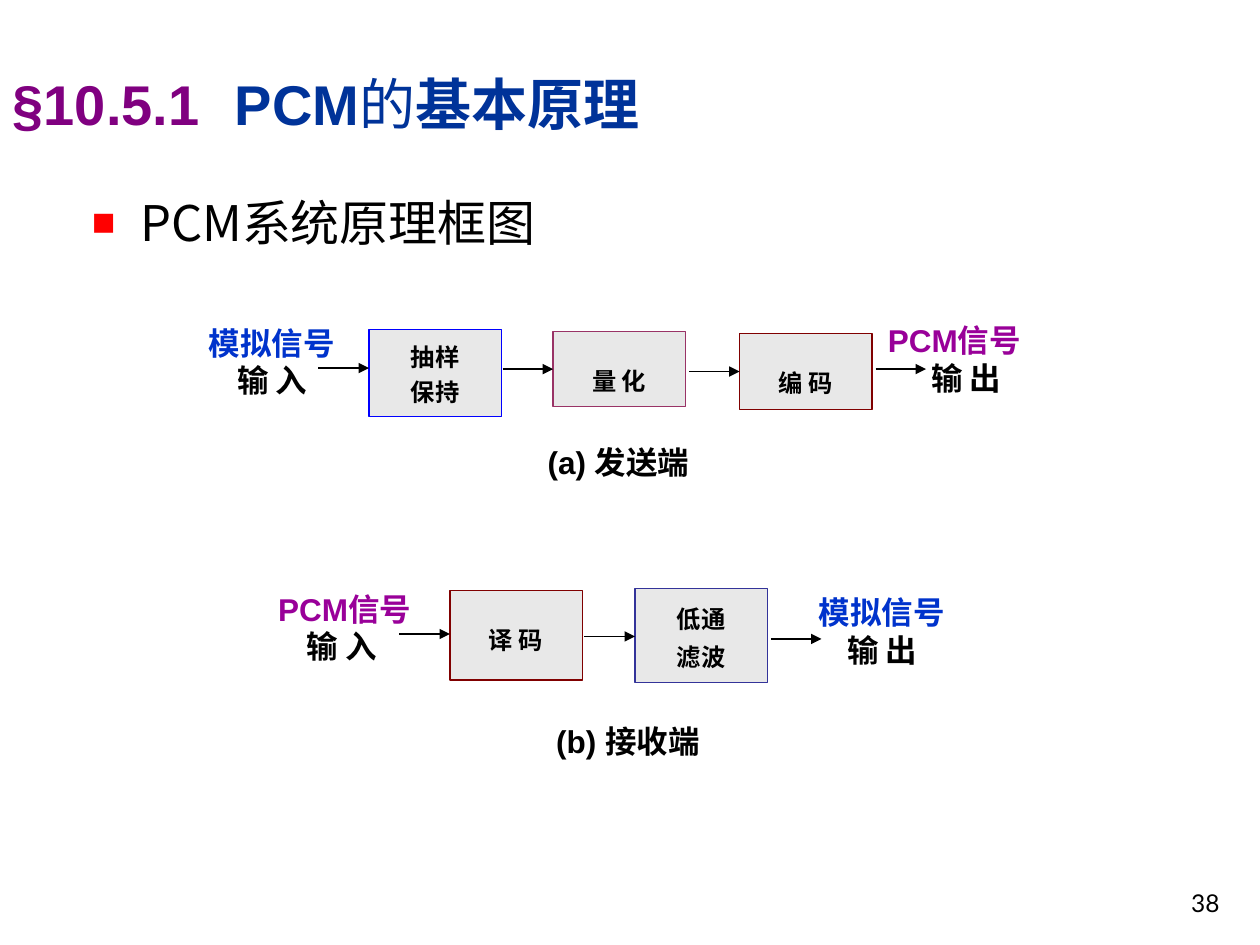
from lxml import etree
from pptx import Presentation
from pptx.dml.color import RGBColor
from pptx.enum.shapes import MSO_CONNECTOR, MSO_SHAPE
from pptx.enum.text import MSO_ANCHOR, MSO_AUTO_SIZE, PP_ALIGN
from pptx.oxml.ns import qn
from pptx.util import Cm, Pt

LEFT, CENTER, RIGHT, JUSTIFY = PP_ALIGN.LEFT, PP_ALIGN.CENTER, PP_ALIGN.RIGHT, PP_ALIGN.JUSTIFY
TOP, BOTTOM = MSO_ANCHOR.TOP, MSO_ANCHOR.BOTTOM
NO_AUTOFIT = MSO_AUTO_SIZE.NONE
RECTANGLE, STRAIGHT = MSO_SHAPE.RECTANGLE, MSO_CONNECTOR.STRAIGHT

THEME = {
    "latin": "Arial", "cjk": "Noto Sans CJK SC", "number": "Lato",
    "black": "000000", "purple": "800080", "navy": "003399", "red": "FF0000",
    "analog": "0033CC", "pcm": "990099", "block": "E8E8E8",
    "title_size": 32, "gap_size": 40, "body_size": 28, "block_size": 24,
    "label_size": 18, "number_size": 14, "line": 0.75,
}

# Content: positions in cm
TITLE_RUNS = [  # text, size, font, colour, bold
    ("§10.5.1", "title_size", "latin", "purple", True),
    ("\t", "gap_size", "latin", "navy", True),
    ("PCM", "title_size", "latin", "navy", True),
    ("的", "title_size", "cjk", "navy", False),
    ("基本原理", "title_size", "cjk", "navy", True),
]
BODY = "PCM系统原理框图"
SLIDE_NUMBER = "38"
DIAGRAMS = [
    {
        "caption": ("(a) 发送端", (10.64, 8.81, 3.66, 1.04)),
        "labels": [  # lines, colour, indent of second line, position
            (("模拟信号", "输 入"), "analog", 0.57, (3.96, 6.4, 3.33, 2)),
            (("PCM信号", "输 出"), "pcm", 0.87, (17.65, 6.35, 3.56, 1.88)),
        ],
        "blocks": [  # lines, font, outline, line spacing, left, top, height
            (("抽样", "保持"), "cjk", "0000FF", Pt(20), 7.44, 6.65, 1.75),
            (("量 化",), "latin", "993366", 0.96, 11.15, 6.68, 1.52),
            (("编 码",), "latin", "800000", 0.96, 14.91, 6.73, 1.52),
        ],
        "arrow_heights": [7.42, 7.44, 7.49, 7.44],
    },
    {
        "caption": ("(b) 接收端", (10.69, 14.43, 3.94, 1.04)),
        "labels": [
            (("PCM信号", "输 入"), "pcm", 0.57, (5.36, 11.76, 3.4, 1.88)),
            (("模拟信号", "输 出"), "analog", 0.57, (16.26, 11.84, 3.35, 1.9)),
        ],
        "blocks": [
            (("译 码",), "latin", "800000", 1.0, 9.07, 11.91, 1.8),
            (("低通", "滤波"), "latin", "333399", Pt(22), 12.8, 11.86, 1.9),
        ],
        "arrow_heights": [12.78, 12.83, 12.88],
    },
]
BLOCK_WIDTH, ARROW_LENGTH, ARROW_GAP = 2.67, 1.02, 0.07


def color(name):
    return RGBColor.from_string(THEME.get(name, name))


def style(font, size, face, color_name, bold=False):
    font.size = Pt(THEME[size])
    font.name = THEME[face]
    font.bold = bold
    font.color.rgb = color(color_name)


def add_xml(parent, tag, **attributes):
    return etree.SubElement(parent, qn(tag), attributes)


def set_east_asian_font(element, tag):
    for properties in element.iter(qn(tag)):
        add_xml(properties, "a:ea", typeface=THEME["cjk"])


def place(shape, position):
    shape.left, shape.top, shape.width, shape.height = map(Cm, position)


def fill_lines(frame, lines, size, face, colors, bold, align, anchor=TOP):
    frame.word_wrap = True
    frame.auto_size = NO_AUTOFIT
    frame.vertical_anchor = anchor
    for index, (text, color_name) in enumerate(zip(lines, colors)):
        paragraph = frame.paragraphs[0] if index == 0 else frame.add_paragraph()
        paragraph.text = text
        paragraph.alignment = align
        style(paragraph.font, size, face, color_name, bold)
        set_east_asian_font(paragraph._p, "a:defRPr")
    return frame.paragraphs


def add_text(shapes, position, *text_format):
    box = shapes.add_textbox(*map(Cm, position))
    return fill_lines(box.text_frame, *text_format)


def add_block(shapes, lines, face, outline, spacing, left, top, height):
    block = shapes.add_shape(RECTANGLE, *map(Cm, (left, top, BLOCK_WIDTH, height)))
    block.shadow.inherit = False
    block.fill.solid()
    block.fill.fore_color.rgb = color("block")
    block.line.color.rgb = color(outline)
    block.line.width = Pt(THEME["line"])
    paragraphs = fill_lines(block.text_frame, lines, "block_size", face,
                            ["black"] * len(lines), True, CENTER)
    for paragraph in paragraphs:
        paragraph.line_spacing = spacing
        for properties in paragraph._p.iter(qn("a:defRPr")):
            properties.set("baseline", "-25000")


def add_arrow(shapes, left, height):
    arrow = shapes.add_connector(STRAIGHT, *map(Cm, (left, height, left + ARROW_LENGTH, height)))
    arrow.line.color.rgb = color("black")
    arrow.line.width = Pt(THEME["line"])
    add_xml(arrow.line._get_or_add_ln(), "a:tailEnd", type="triangle")
    add_xml(arrow._element.spPr, "a:effectLst")


def add_diagram(slide, diagram):
    shapes = slide.shapes.add_group_shape().shapes
    caption, position = diagram["caption"]
    add_text(shapes, position, [caption], "label_size", "latin", ["black"], True, CENTER)
    for lines, color_name, indent, position in diagram["labels"]:
        paragraphs = add_text(shapes, position, lines, "label_size", "latin",
                              [color_name, "black"], True, JUSTIFY)
        paragraphs[1]._p.get_or_add_pPr().set("marL", str(Cm(indent)))
    for block in diagram["blocks"]:
        add_block(shapes, *block)
    # One arrow into each block, and one out of the last
    lefts = [block[4] for block in diagram["blocks"]]
    starts = [left - ARROW_LENGTH for left in lefts] + [lefts[-1] + BLOCK_WIDTH + ARROW_GAP]
    for start, height in zip(starts, diagram["arrow_heights"]):
        add_arrow(shapes, start, height)


def add_title(slide):
    title = slide.shapes.title
    place(title, (0, 0.99, 14.1, 1.96))
    frame = title.text_frame
    frame.word_wrap = True
    frame.auto_size = NO_AUTOFIT
    frame.vertical_anchor = TOP
    paragraph = frame.paragraphs[0]
    paragraph.alignment = LEFT
    tabs = add_xml(paragraph._p.get_or_add_pPr(), "a:tabLst")
    add_xml(tabs, "a:tab", pos=str(Cm(4.48)), algn="l")
    for text, *text_format in TITLE_RUNS:
        run = paragraph.add_run()
        run.text = text
        style(run.font, *text_format)
    set_east_asian_font(paragraph._p, "a:rPr")


def add_body(slide):
    body = slide.placeholders[1]
    place(body, (1.6, 3.76, 15.27, 1.57))
    properties = body.text_frame.paragraphs[0]._p.get_or_add_pPr()
    properties.set("marL", str(Cm(0.97)))
    properties.set("indent", str(-Cm(0.97)))
    add_xml(add_xml(properties, "a:buClr"), "a:srgbClr", val=THEME["red"])
    add_xml(properties, "a:buSzPct", val="80000")
    add_xml(properties, "a:buChar", char="■")
    paragraphs = fill_lines(body.text_frame, [BODY], "body_size", "cjk", ["black"], False, LEFT)
    paragraphs[0].space_before = Pt(0)


def main():
    presentation = Presentation()
    presentation.slide_width, presentation.slide_height = Cm(25.4), Cm(19.05)
    slide = presentation.slides.add_slide(presentation.slide_layouts[1])
    add_title(slide)
    add_body(slide)
    for diagram in DIAGRAMS:
        add_diagram(slide, diagram)
    add_text(slide.shapes, (19.56, 17.35, 5.28, 1.27), [SLIDE_NUMBER],
             "number_size", "number", ["black"], False, RIGHT, BOTTOM)
    presentation.save("out.pptx")


if __name__ == "__main__":
    main()
